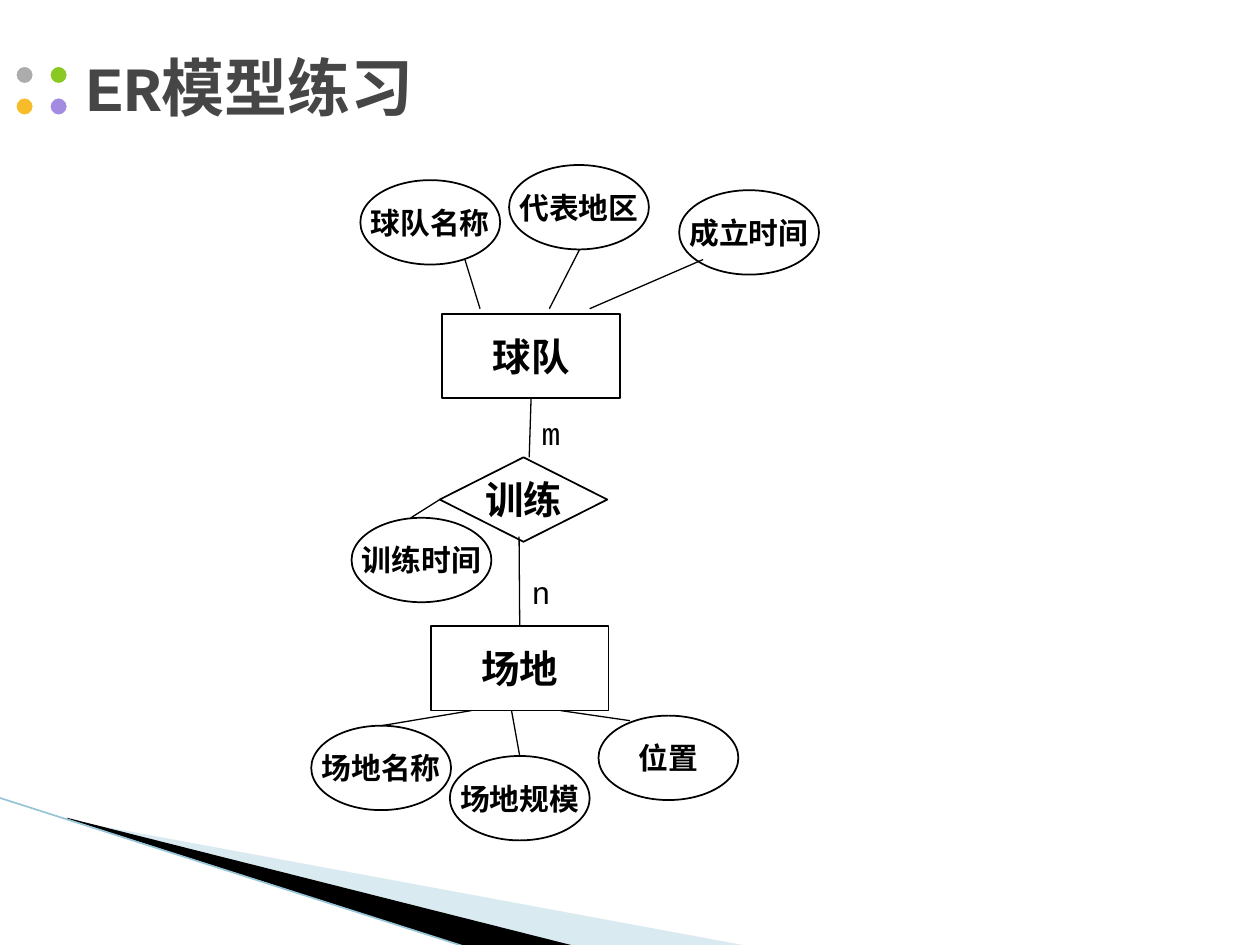
from lxml.etree import SubElement
from pptx import Presentation
from pptx.dml.color import RGBColor
from pptx.enum.shapes import MSO_CONNECTOR, MSO_SHAPE as SHAPE
from pptx.enum.text import MSO_ANCHOR as ANCHOR, PP_ALIGN as ALIGN
from pptx.oxml.ns import qn
from pptx.util import Inches, Pt

CJK, MONO = "Noto Sans CJK SC", "Courier New"
BLACK = "000000"

# Content
TITLE = "ER模型练习"
WEDGES = [  # points, colour, opacity in percent
    ([(0.55, 6.51), (5.95, 7.51), (4.56, 7.51), (0.55, 6.5)], "A0CBDC", 40),
    ([(0.53, 6.49), (4.57, 7.51), (3.72, 7.52), (0.54, 6.5)], BLACK, 100),
]
DOTS = [["ACACAC", "8AC923"], ["F7BC29", "A28BE1"]]
KINDS = {  # shape, width, text size
    "entity": (SHAPE.RECTANGLE, 1.41, 22),
    "relation": (SHAPE.FLOWCHART_DECISION, 1.33, 22),
    "attribute": (SHAPE.OVAL, 1.11, 17),
}
NODE_HEIGHT = 0.67
NODES = [  # text, kind, left, top
    ("球队", "entity", 3.51, 2.49),
    ("代表地区", "attribute", 4.04, 1.31),
    ("球队名称", "attribute", 2.86, 1.43),
    ("成立时间", "attribute", 5.39, 1.51),
    ("训练", "relation", 3.49, 3.63),
    ("场地", "entity", 3.42, 4.97),
    ("场地名称", "attribute", 2.47, 5.76),
    ("场地规模", "attribute", 3.57, 6),
    ("位置", "attribute", 4.75, 5.68),
    ("训练时间", "attribute", 2.79, 4.11),
]
LINKS = [  # start, end, joined start, joined end as (node, side)
    ((3.69, 2.06), (3.81, 2.45), None, None),
    ((4.6, 1.98), (4.36, 2.45), None, None),
    ((4.68, 2.45), (5.58, 2.06), None, None),
    ((4.2, 3.16), (4.2, 3.63), ("球队", 2), None),
    ((4.12, 4.26), (4.12, 4.97), None, ("场地", 0)),
    ((3.49, 3.95), (3.26, 4.11), ("训练", 1), None),
    ((3.74, 5.64), (3.02, 5.76), None, ("场地名称", 0)),
    ((4.06, 5.64), (4.12, 6), None, ("场地规模", 0)),
    ((4.45, 5.64), (5, 5.72), None, None),
]
CARDINALITIES = [("m", 4.2, 3.24), ("n", 4.12, 4.5)]

prs = Presentation()
prs.slide_width, prs.slide_height = Inches(10), Inches(7.5)
slide = prs.slides.add_slide(prs.slide_layouts[5])
shapes = slide.shapes


def rgb(colour):
    return RGBColor.from_string(colour)


def write(shape, text, size, font=CJK, colour=BLACK, bold=False,
          align=ALIGN.LEFT, anchor=ANCHOR.TOP, wrap=True, before=0):
    frame = shape.text_frame
    frame.word_wrap, frame.vertical_anchor = wrap, anchor
    paragraph = frame.paragraphs[0]
    paragraph.alignment = align
    paragraph.space_before = Pt(size * before)
    run = paragraph.add_run()
    run.text = text
    run.font.name, run.font.size, run.font.bold = font, Pt(size), bold
    run.font.color.rgb = rgb(colour)
    SubElement(run.font._element, qn("a:ea")).set("typeface", CJK)


def add_line(start, end, colour=BLACK, width=0.75):
    line = shapes.add_connector(MSO_CONNECTOR.STRAIGHT,
                                *map(Inches, (*start, *end)))
    line.line.color.rgb, line.line.width = rgb(colour), Pt(width)
    SubElement(line._element.spPr, qn("a:effectLst"))
    return line


def add_shape(kind, left, top, width, height, fill=None, outline=BLACK, weight=1):
    shape = shapes.add_shape(kind, *map(Inches, (left, top, width, height)))
    shape.shadow.inherit = False
    if fill:
        shape.fill.solid()
        shape.fill.fore_color.rgb = rgb(fill)
    else:
        shape.fill.background()
    shape.line.color.rgb, shape.line.width = rgb(outline), Pt(weight)
    return shape


# Corner decoration
for points, colour, opacity in WEDGES:
    corners = [(Inches(x), Inches(y)) for x, y in points]
    builder = shapes.build_freeform(*corners[0])
    builder.add_line_segments(corners[1:])
    wedge = builder.convert_to_shape()
    wedge.shadow.inherit = False
    wedge.fill.solid()
    wedge.fill.fore_color.rgb = rgb(colour)
    wedge.line.fill.background()
    if opacity < 100:
        tint = wedge._element.spPr.find(".//" + qn("a:srgbClr"))
        SubElement(tint, qn("a:alpha")).set("val", str(opacity * 1000))
add_line((-0.01, 6.33), (3.71, 7.52), "97C5D8", 0.95)

# Dots beside the title
for row, colours in enumerate(DOTS):
    for column, colour in enumerate(colours):
        add_shape(SHAPE.OVAL, 0.12 + 0.27 * column, 0.52 + 0.25 * row,
                  0.15, 0.15, colour, "FFFFFF", 1.5)

# Title
title = shapes.title
title.left, title.top, title.width, title.height = map(
    Inches, (0.58, 0.3, 8.44, 0.77))
write(title, TITLE, 36, font=MONO, colour="464646", bold=True,
      anchor=ANCHOR.MIDDLE)

# Entities, relation and attributes
nodes = {}
for text, kind, left, top in NODES:
    preset, width, size = KINDS[kind]
    node = nodes[text] = add_shape(preset, left, top, width, NODE_HEIGHT)
    frame = node.text_frame
    frame.margin_left = frame.margin_right = Inches(0.11)
    frame.margin_top = frame.margin_bottom = Inches(0.05)
    write(node, text, size, bold=True, align=ALIGN.CENTER,
          anchor=ANCHOR.MIDDLE, wrap=False, before=0.2)

# Links
for start, end, start_join, end_join in LINKS:
    link = add_line(start, end)
    if start_join:
        link.begin_connect(nodes[start_join[0]], start_join[1])
    if end_join:
        link.end_connect(nodes[end_join[0]], end_join[1])

# Cardinalities
for text, left, top in CARDINALITIES:
    label = shapes.add_textbox(*map(Inches, (left, top, 0.39, 0.4)))
    write(label, text, 18, font=MONO, before=0.5)

prs.save("out.pptx")
